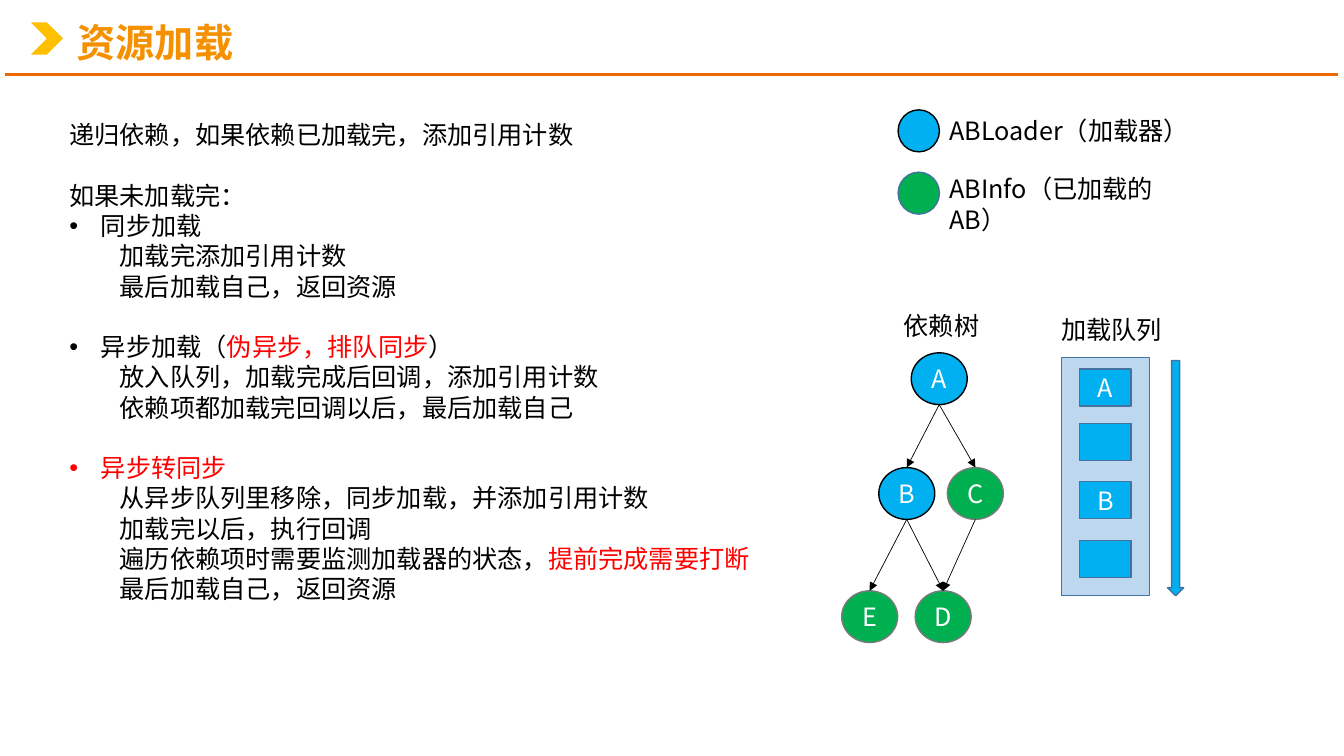
from lxml import etree
from pptx import Presentation
from pptx.dml.color import RGBColor
from pptx.enum.shapes import MSO_CONNECTOR, MSO_SHAPE
from pptx.enum.text import MSO_ANCHOR, PP_ALIGN
from pptx.oxml.ns import qn
from pptx.util import Pt

CHEVRON, OVAL = MSO_SHAPE.CHEVRON, MSO_SHAPE.OVAL
RECT, DOWN_ARROW = MSO_SHAPE.RECTANGLE, MSO_SHAPE.DOWN_ARROW
STRAIGHT = MSO_CONNECTOR.STRAIGHT
MIDDLE, TOP = MSO_ANCHOR.MIDDLE, MSO_ANCHOR.TOP
CENTER, LEFT = PP_ALIGN.CENTER, PP_ALIGN.LEFT

FONT = "Noto Sans CJK SC"
BLACK = RGBColor(0x00, 0x00, 0x00)
WHITE = RGBColor(0xFF, 0xFF, 0xFF)
RED = RGBColor(0xFF, 0x00, 0x00)
RULE = RGBColor(0xEC, 0x69, 0x01)
GOLD = RGBColor(0xFF, 0xC0, 0x00)
ORANGE = RGBColor(0xF5, 0x90, 0x00)
BLUE = RGBColor(0x00, 0xB0, 0xF0)
GREEN = RGBColor(0x00, 0xB0, 0x50)
PALE_BLUE = RGBColor(0xBD, 0xD7, 0xEE)
EDGE = RGBColor(0x43, 0x73, 0x9E)
GREY = RGBColor(0x7A, 0x7A, 0x7A)

BULLET_INDENT, BODY_INDENT, BLOCK_GAP = 22.5, 36, 21.6
# Each block: paragraphs of (is_bullet, runs), runs of (text, colour)
INTRO = [
    [(None, [("递归依赖，如果依赖已加载完，添加引用计数", BLACK)])],
    [(None, [("如果未加载完：", BLACK)]),
     (True, [("同步加载", BLACK)]),
     (False, [("加载完添加引用计数", BLACK)]),
     (False, [("最后加载自己，返回资源", BLACK)])],
    [(True, [("异步加载（", BLACK), ("伪异步，排队同步", RED), ("）", BLACK)]),
     (False, [("放入队列，加载完成后回调，添加引用计数", BLACK)]),
     (False, [("依赖项都加载完回调以后，最后加载自己", BLACK)])],
    [(True, [("异步转同步", RED)]),
     (False, [("从异步队列里移除，同步加载，并添加引用计数", BLACK)]),
     (False, [("加载完以后，执行回调", BLACK)]),
     (False, [("遍历依赖项时需要监测加载器的状态，", BLACK), ("提前完成需要打断", RED)]),
     (False, [("最后加载自己，返回资源", BLACK)])],
]

NODE_W, NODE_H = 40, 37
# name: (left, top, fill, line) relative to the tree's box
NODES = {
    "A": (49.7, 34, BLUE, BLACK),
    "B": (26.5, 116, BLUE, BLACK),
    "C": (75.5, 116, GREEN, GREY),
    "D": (52.5, 204, GREEN, GREY),
    "E": (0, 204, GREEN, GREY),
}
EDGES = ["AB", "AC", "BE", "BD", "CD"]
QUEUE = [("A", 8), ("", 47), ("B", 88.5), ("", 130.5)]


def style_run(r, color, size=18, bold=False):
    r.font.name, r.font.size, r.font.bold = FONT, Pt(size), bold
    r.font.color.rgb = color
    etree.SubElement(r.font._element, qn("a:ea")).set("typeface", FONT)


def add_figure(s, kind, x, y, w, h, fill, line=None, text=""):
    sp = s.shapes.add_shape(kind, Pt(x), Pt(y), Pt(w), Pt(h))
    sp.shadow.inherit = False
    sp.fill.solid()
    sp.fill.fore_color.rgb = fill
    if line is None:
        sp.line.fill.background()
    else:
        sp.line.color.rgb = line
        sp.line.width = Pt(1)
    if text:
        tf = sp.text_frame
        tf.margin_left = tf.margin_right = tf.margin_top = tf.margin_bottom = 0
        tf.vertical_anchor = MIDDLE
        tf.text = text
        tf.paragraphs[0].alignment = CENTER
        style_run(tf.paragraphs[0].runs[0], WHITE)
    return sp


def add_line(s, x1, y1, x2, y2, color, width, arrow=False):
    c = s.shapes.add_connector(STRAIGHT, Pt(x1), Pt(y1), Pt(x2), Pt(y2))
    c.line.color.rgb = color
    c.line.width = Pt(width)
    if arrow:
        etree.SubElement(c.line._get_or_add_ln(), qn("a:tailEnd")).set("type", "triangle")
    etree.SubElement(c._element.spPr, qn("a:effectLst"))


def add_label(s, x, y, w, text):
    tf = s.shapes.add_textbox(Pt(x), Pt(y), Pt(w), Pt(29)).text_frame
    tf.word_wrap = True
    tf.text = text
    style_run(tf.paragraphs[0].runs[0], BLACK)


def add_header(s, x, y, w, h, text):
    add_line(s, x, y + h, x + w, y + h, RULE, 2)
    for left, fill in ((18.5, GOLD), (33, WHITE)):
        add_figure(s, CHEVRON, x + left, y + 6.5, 23, 23, fill)
    title = s.shapes.title
    title.left, title.top, title.width, title.height = Pt(x + 44), Pt(y), Pt(753), Pt(45)
    tf = title.text_frame
    tf.text = text
    tf.vertical_anchor = MIDDLE
    p = tf.paragraphs[0]
    p.alignment, p.line_spacing = LEFT, 0.9
    style_run(p.runs[0], ORANGE, 28, True)


def indent_paragraph(p, is_bullet):
    pPr = p._p.get_or_add_pPr()
    if is_bullet:
        pPr.set("marL", str(Pt(BULLET_INDENT)))
        pPr.set("indent", str(-Pt(BULLET_INDENT)))
        etree.SubElement(pPr, qn("a:buFont")).set("typeface", "Arial")
        etree.SubElement(pPr, qn("a:buChar")).set("char", "•")
    else:
        p.level = 1
        pPr.set("marL", str(Pt(BODY_INDENT)))
        pPr.set("indent", "0")


def add_explanation(s, x, y, w, h):
    tf = s.shapes.add_textbox(Pt(x), Pt(y), Pt(w), Pt(h)).text_frame
    tf.word_wrap = True
    tf.vertical_anchor = TOP
    p = tf.paragraphs[0]
    for b, block in enumerate(INTRO):
        for i, (is_bullet, runs) in enumerate(block):
            if b or i:
                p = tf.add_paragraph()
            if is_bullet is not None:
                indent_paragraph(p, is_bullet)
            if b and i == 0:
                p.space_before = Pt(BLOCK_GAP)
            for text, color in runs:
                r = p.add_run()
                r.text = text
                style_run(r, color)


def add_legend(s, x, y):
    add_figure(s, OVAL, x, y, 29.5, 30, BLUE, BLACK)
    add_figure(s, OVAL, x, y + 44.5, 29.5, 30, GREEN, EDGE)
    add_label(s, x + 29.5, y, 192, "ABLoader（加载器）")
    add_label(s, x + 29.5, y + 42, 192, "ABInfo（已加载的AB）")


def add_dependency_tree(s, x, y):
    add_label(s, x + 37.3, y, 72, "依赖树")
    for name, (left, top, fill, line) in NODES.items():
        add_figure(s, OVAL, x + left, y + top, NODE_W, NODE_H, fill, line, name)
    for parent, child in EDGES:
        (x1, y1), (x2, y2) = NODES[parent][:2], NODES[child][:2]
        add_line(s, x + x1 + NODE_W / 2, y + y1 + NODE_H,
                 x + x2 + NODE_W / 2, y + y2, BLACK, 0.5, arrow=True)


def add_load_queue(s, x, y, w, h):
    add_label(s, x - 7, y - 34.5, 90, "加载队列")
    add_figure(s, RECT, x, y, w, h, PALE_BLUE, EDGE)
    for name, top in QUEUE:
        add_figure(s, RECT, x + (w - 37) / 2, y + top, 37, 26.5, BLUE, EDGE, name)
    add_figure(s, DOWN_ARROW, x + w + 13, y + 2, 11.5, h - 2, BLUE, EDGE)


def main():
    prs = Presentation()
    prs.slide_width, prs.slide_height = Pt(960), Pt(540)
    s = prs.slides.add_slide(prs.slide_layouts[5])
    add_header(s, 3.5, 9.5, 952.5, 43.5, "资源加载")
    add_explanation(s, 42.5, 82, 549, 378)
    add_dependency_tree(s, 601.2, 218)
    add_legend(s, 641.5, 78.5)
    add_load_queue(s, 758, 255.5, 63, 170)
    prs.save("out.pptx")


if __name__ == "__main__":
    main()
